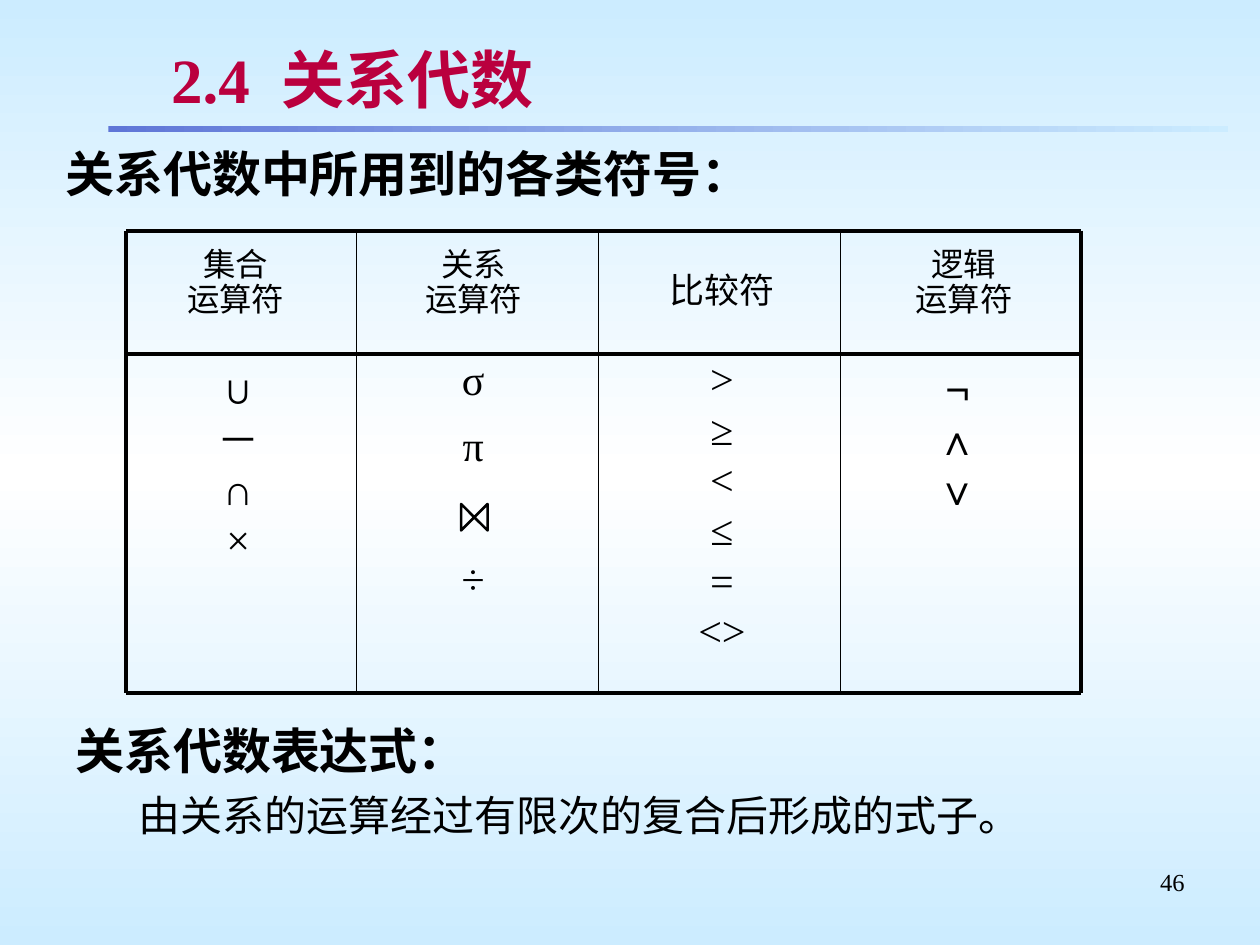
from copy import deepcopy

from lxml import etree
from pptx import Presentation
from pptx import util as u
from pptx.dml.color import RGBColor
from pptx.enum import shapes, text
from pptx.oxml.ns import qn

BLACK = RGBColor(0x00, 0x00, 0x00)
CRIMSON = RGBColor(0xBA, 0x00, 0x3E)
BLUE = RGBColor(0x5F, 0x76, 0xD7)
SKY = RGBColor(0xCC, 0xEC, 0xFF)
WHITE = RGBColor(0xFF, 0xFF, 0xFF)
SERIF, SANS = "Times New Roman", "Arial"
CENTER, RIGHT = text.PP_ALIGN.CENTER, text.PP_ALIGN.RIGHT
MIDDLE = text.MSO_ANCHOR.MIDDLE


class SlideBuilder:
    """Holds the text style and the current slide."""

    font_style = {"name": SERIF, "size": 24, "bold": False, "color": BLACK}

    def __init__(self, slide):
        self.slide = slide

    def gradient(self, fill, colors, angle):
        fill.gradient()
        fill.gradient_angle = angle
        stops = fill.gradient_stops
        stop_list = fill._fill._gradFill.find(qn("a:gsLst"))
        for _ in range(len(colors) - len(stops)):
            stop_list.append(deepcopy(stop_list[0]))
        for index, (stop, color) in enumerate(zip(fill.gradient_stops, colors)):
            stop.color.rgb = color
            stop.position = index / (len(colors) - 1)

    def bar(self, left, top, width, height, colors):
        shape = self.slide.shapes.add_shape(
            shapes.MSO_SHAPE.RECTANGLE, *map(u.Inches, (left, top, width, height)))
        shape.shadow.inherit = False
        shape.line.fill.background()
        self.gradient(shape.fill, colors, 0)

    def line(self, start, end, weight):
        connector = self.slide.shapes.add_connector(
            shapes.MSO_CONNECTOR.STRAIGHT, *map(u.Inches, (*start, *end)))
        connector.line.color.rgb = BLACK
        connector.line.width = u.Pt(weight)
        etree.SubElement(connector._element.spPr, qn("a:effectLst"))

    def join_symbol(self, left, top, size):
        shape = self.slide.shapes.add_shape(
            shapes.MSO_SHAPE.FLOWCHART_COLLATE, *map(u.Inches, (left, top, size, size)))
        shape.shadow.inherit = False
        shape.rotation = 270
        shape.fill.background()
        shape.line.color.rgb = BLACK
        shape.line.width = u.Pt(1.5)

    def text_box(self, box, paragraphs, anchor=text.MSO_ANCHOR.TOP, **shared):
        """Each paragraph is a string or a (string, format values) pair."""
        frame = self.slide.shapes.add_textbox(*map(u.Inches, box)).text_frame
        frame.word_wrap = True
        frame.vertical_anchor = anchor
        for index, item in enumerate(paragraphs):
            words, own = (item, {}) if isinstance(item, str) else item
            paragraph = frame.paragraphs[0] if index == 0 else frame.add_paragraph()
            values = {**self.font_style, **shared, **own}
            self.format(paragraph, words, values)
        return frame

    def format(self, paragraph, words, values):
        run = paragraph.add_run()
        run.text = words
        if "indent" in values:
            paragraph._p.get_or_add_pPr().set("marL", str(u.Inches(values["indent"])))
        for name in ("alignment", "line_spacing", "space_before"):
            if name in values:
                setattr(paragraph, name, values[name])
        for name in ("name", "bold"):
            setattr(run.font, name, values[name])
        run.font.size = u.Pt(values["size"])
        run.font.color.rgb = values["color"]

    def title(self, box, number, words):
        style = {"size": 36, "bold": True, "color": CRIMSON}
        frame = self.text_box(box, [number], MIDDLE, **style)
        paragraph = frame.paragraphs[0]
        for part in (" ", words):
            self.format(paragraph, part, {**self.font_style, **style})
        # Widen the gap after the number
        paragraph.runs[1].font._element.set("spc", "900")
        # Soft text shadow
        for run in paragraph.runs:
            effects = etree.Element(qn("a:effectLst"))
            shadow = etree.SubElement(effects, qn("a:outerShdw"),
                                      dist="35921", dir="2700000", algn="ctr")
            etree.SubElement(shadow, qn("a:srgbClr"), val="C0C0C0")
            run.font._element.find(qn("a:solidFill")).addnext(effects)


def main():
    presentation = Presentation()
    presentation.slide_width, presentation.slide_height = u.Inches(10), u.Inches(7.5)
    slide = presentation.slides.add_slide(presentation.slide_layouts[6])
    builder = SlideBuilder(slide)

    # Background, title and rule
    builder.gradient(slide.background.fill, (SKY, WHITE, SKY), 270)
    builder.bar(0.86, 1, 8.89, 0.05, (BLUE, SKY))
    builder.title((1.26, 0.29, 8.24, 0.67), "2.4", "关系代数")
    builder.text_box((0.42, 1.08, 6.92, 0.58), ["关系代数中所用到的各类符号："],
                     MIDDLE, size=28, bold=True)

    # Grid of operator symbols
    left, right, top, middle, bottom = 1, 8.58, 1.83, 2.81, 5.5
    for y in (top, middle, bottom):
        builder.line((left, y), (right, y), 2.25)
    for x, weight in ((left, 2.25), (2.83, 1), (4.75, 1), (6.67, 1), (right, 2.25)):
        builder.line((x, top), (x, bottom), weight)

    # Column headings
    for x, width, kind in ((1.08, 1.58, "集合"), (2.92, 1.68, "关系"), (6.91, 1.48, "逻辑")):
        builder.text_box((x, 1.92, width, 0.75), [kind, "运算符"],
                         size=18.5, alignment=CENTER, line_spacing=0.9)
    builder.text_box((4.94, 2.08, 1.58, 0.5), ["比较符"], size=20, alignment=CENTER)

    # Column symbols
    columns = (
        ((1.2, 2.83, 1.38, 2.58), ["∪", "－", "∩", "×"]),
        ((5.04, 2.75, 1.38, 2.67), [">", "≥", "<", "≤", "=", "<>"]),
        ((6.91, 2.83, 1.38, 2.5), [("¬", {"name": SANS}), "∧", "∨"]),
    )
    for box, symbols in columns:
        builder.text_box(box, symbols, alignment=CENTER)
    builder.text_box(
        (2.97, 2.83, 1.57, 2.01),
        ["σ", ("π", {"space_before": u.Pt(15)}), ("÷", {"space_before": u.Pt(53)})],
        alignment=CENTER, line_spacing=0.8)
    builder.join_symbol(3.66, 4, 0.21)

    # Definition and page number
    builder.text_box(
        (0.5, 5.67, 9.17, 1.08),
        [("关系代数表达式：", {"size": 28, "bold": True}),
         ("由关系的运算经过有限次的复合后形成的式子。",
          {"indent": 0.5, "space_before": u.Pt(6)})],
        name=SANS)
    builder.text_box((7.17, 6.83, 2.33, 0.52), ["46"], size=14, alignment=RIGHT)

    presentation.save("out.pptx")


if __name__ == "__main__":
    main()
